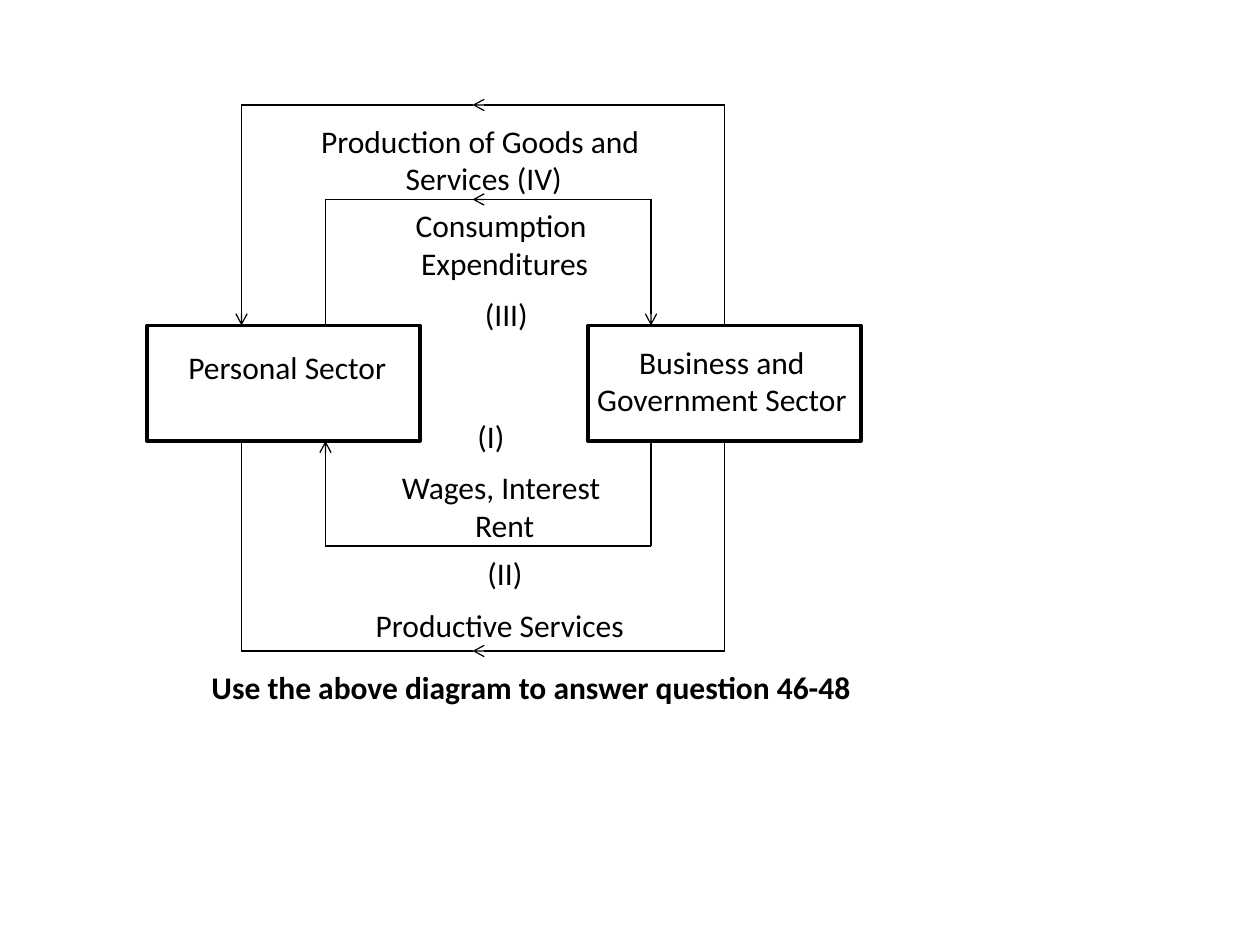
from dataclasses import dataclass
from itertools import pairwise

from lxml.etree import SubElement
from pptx import Presentation
from pptx.dml.color import RGBColor
from pptx.enum.shapes import MSO_CONNECTOR, MSO_SHAPE
from pptx.enum.text import MSO_AUTO_SIZE, PP_ALIGN
from pptx.oxml.ns import qn
from pptx.util import Inches, Pt


@dataclass(frozen=True)
class Theme:
    ink: RGBColor = RGBColor(0x00, 0x00, 0x00)
    paper: RGBColor = RGBColor(0xFF, 0xFF, 0xFF)
    font: str = "Calibri"
    text_size: float = 18
    flow_width: float = 0.75
    sector_width: float = 2


@dataclass(frozen=True)
class Flow:
    """A route through grid points; arrowed lists the legs ending in a head."""
    points: tuple[tuple[float, float], ...]
    arrowed: tuple[int, ...]


@dataclass(frozen=True)
class Caption:
    text: str
    column: float
    row: float
    columns: float
    rows: float = 4.8
    align: PP_ALIGN = PP_ALIGN.CENTER
    wrap: bool = False
    bold: bool = False


THEME = Theme()
SLIDE_COLUMNS, SLIDE_ROWS = 120, 90  # twelve grid cells to the inch

# Grid lines shared by the flows and the sector boxes
OUTER_LEFT, INNER_LEFT, MIDDLE, INNER_RIGHT, OUTER_RIGHT = 23, 31, 45, 62, 69
OUTER_TOP, INNER_TOP, INNER_BOTTOM, OUTER_BOTTOM = 10, 19, 52, 62
SECTOR_TOP, SECTOR_BOTTOM = 31, 42
SECTOR_LEFTS, SECTOR_COLUMNS = (14, 56), 26

FLOWS = (
    # Production of goods and services
    Flow(((OUTER_RIGHT, SECTOR_TOP), (OUTER_RIGHT, OUTER_TOP), (MIDDLE, OUTER_TOP),
          (OUTER_LEFT, OUTER_TOP), (OUTER_LEFT, SECTOR_TOP)), (1, 3)),
    # Consumption expenditures, parting at the upper right corner
    Flow(((INNER_RIGHT, INNER_TOP), (MIDDLE, INNER_TOP),
          (INNER_LEFT, INNER_TOP), (INNER_LEFT, SECTOR_TOP)), (0,)),
    Flow(((INNER_RIGHT, INNER_TOP), (INNER_RIGHT, SECTOR_TOP)), (0,)),
    # Wages, interest, rent
    Flow(((INNER_RIGHT, SECTOR_BOTTOM), (INNER_RIGHT, INNER_BOTTOM),
          (INNER_LEFT, INNER_BOTTOM), (INNER_LEFT, SECTOR_BOTTOM)), (2,)),
    # Productive services
    Flow(((OUTER_RIGHT, SECTOR_BOTTOM), (OUTER_RIGHT, OUTER_BOTTOM), (MIDDLE, OUTER_BOTTOM),
          (OUTER_LEFT, OUTER_BOTTOM), (OUTER_LEFT, SECTOR_BOTTOM)), (1,)),
)

CAPTIONS = (
    Caption("Production of Goods and \nServices (IV)", 29.16, 11, 33.84, 8.5),
    Caption("Wages, Interest \nRent", 36.96, 44, 22.2, 8.5),
    Caption("Consumption \nExpenditures", 38.28, 19, 19.56, 8.5),
    Caption("Productive Services ", 34.44, 57.12, 27),
    Caption("(II)", 45.24, 52.2, 5.76, align=PP_ALIGN.LEFT),
    Caption("(I)", 44.28, 39.12, 5.04, align=PP_ALIGN.LEFT),
    Caption("(III)", 45, 27.48, 6.6, align=PP_ALIGN.LEFT),
    Caption("Personal Sector", 14.76, 32.52, 25.2, wrap=True),
    Caption("Business and Government Sector", 53.52, 32.04, 30.48, 8.5, wrap=True),
    Caption("Use the above diagram to answer question 46-48", 18.96, 63, 63.84,
            align=PP_ALIGN.LEFT, bold=True),
)


def cells(count: float) -> int:
    return Inches(count / 12)


def draw_flow(slide, flow: Flow) -> None:
    for leg, (start, end) in enumerate(pairwise(flow.points)):
        line = slide.shapes.add_connector(
            MSO_CONNECTOR.STRAIGHT, *(cells(c) for c in (*start, *end)))
        line.line.color.rgb = THEME.ink
        line.line.width = Pt(THEME.flow_width)
        if leg in flow.arrowed:
            SubElement(line.line._get_or_add_ln(), qn("a:tailEnd"), type="arrow")
        SubElement(line._element.spPr, qn("a:effectLst"))


def draw_sector(slide, left: float) -> None:
    box = slide.shapes.add_shape(
        MSO_SHAPE.RECTANGLE, cells(left), cells(SECTOR_TOP),
        cells(SECTOR_COLUMNS), cells(SECTOR_BOTTOM - SECTOR_TOP))
    box.shadow.inherit = False
    box.fill.solid()
    box.fill.fore_color.rgb = THEME.paper
    box.line.color.rgb = THEME.ink
    box.line.width = Pt(THEME.sector_width)


def draw_caption(slide, caption: Caption) -> None:
    frame = slide.shapes.add_textbox(
        cells(caption.column), cells(caption.row),
        cells(caption.columns), cells(caption.rows)).text_frame
    frame.word_wrap = caption.wrap
    frame.auto_size = MSO_AUTO_SIZE.SHAPE_TO_FIT_TEXT
    frame.text = caption.text
    for paragraph in frame.paragraphs:
        paragraph.alignment = caption.align
        for run in paragraph.runs:
            run.font.name = THEME.font
            run.font.size = Pt(THEME.text_size)
            run.font.bold = caption.bold
            run.font.color.rgb = THEME.ink


def main() -> None:
    deck = Presentation()
    deck.slide_width = cells(SLIDE_COLUMNS)
    deck.slide_height = cells(SLIDE_ROWS)
    slide = deck.slides.add_slide(deck.slide_layouts[6])

    # Circular flow, then the sectors it joins, then the wording
    for flow in FLOWS:
        draw_flow(slide, flow)
    for left in SECTOR_LEFTS:
        draw_sector(slide, left)
    for caption in CAPTIONS:
        draw_caption(slide, caption)

    deck.save("out.pptx")


if __name__ == "__main__":
    main()
